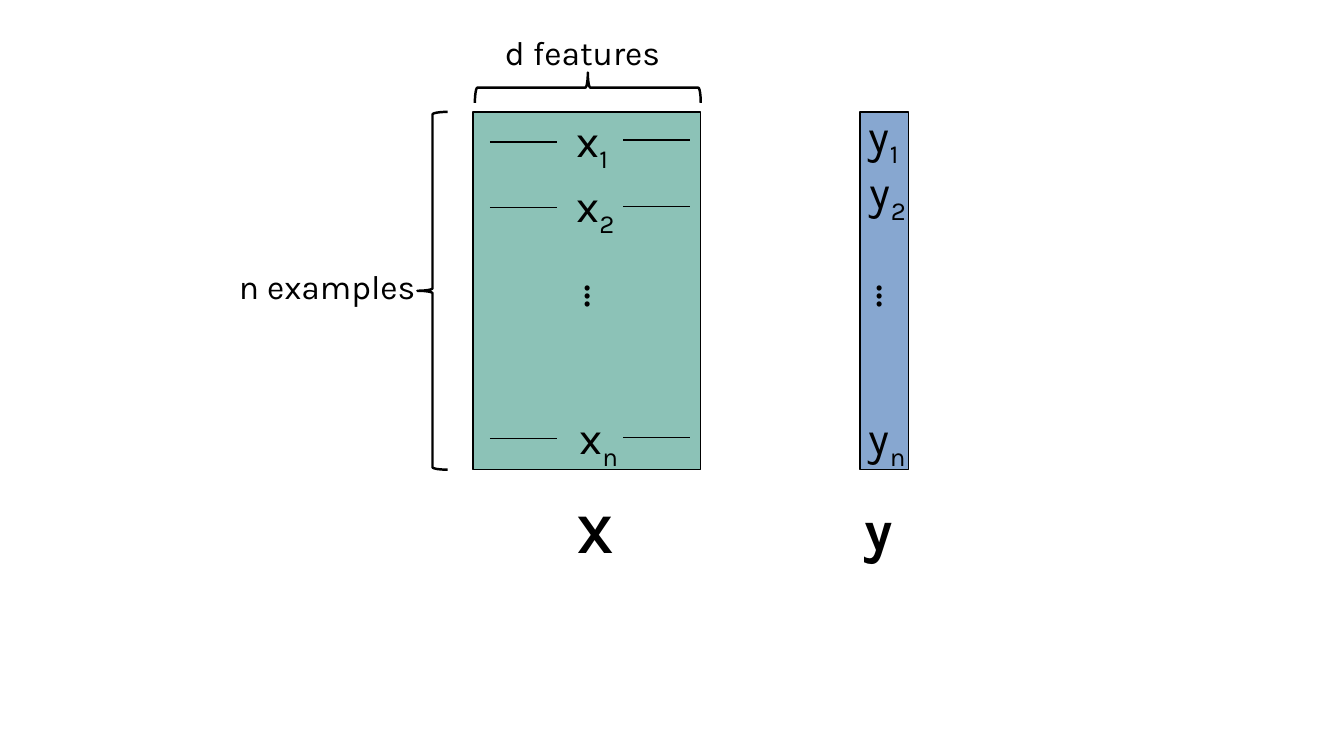
from pptx import Presentation
from pptx.dml.color import RGBColor
from pptx.enum.shapes import MSO_CONNECTOR as LINK, MSO_SHAPE as SHAPE
from pptx.enum.text import MSO_AUTO_SIZE as FIT
from pptx.oxml.ns import qn
from pptx.util import Emu, Pt
from lxml.etree import SubElement

SCALE = 9144  # 100 px to the inch
COLORS = {"ink": "000000", "features": "8CC2B7", "targets": "87A7D0"}
SYMBOL = {"size": Pt(32)}
LABEL = {"size": Pt(24)}
CAPTION = {"size": Pt(40), "bold": True}


def px(*lengths):
    return [Emu(length * SCALE) for length in lengths]


def color(name):
    return RGBColor.from_string(COLORS[name])


def set_line(part, width):
    part.line.color.rgb = color("ink")
    part.line.width = Pt(width)


def add_text(page, box, text, style, subscript=None, turn=0):
    frame_box = page.shapes.add_textbox(*px(*box))
    frame_box.rotation = turn
    frame = frame_box.text_frame
    frame.word_wrap = True
    frame.auto_size = FIT.SHAPE_TO_FIT_TEXT
    para = frame.paragraphs[0]
    for part in filter(None, (text, subscript)):
        span = para.add_run()
        span.text = part
        for name, value in {"name": "Karla", **style}.items():
            setattr(span.font, name, value)
        span.font.color.rgb = color("ink")
        if part is subscript:
            span._r.get_or_add_rPr().set("baseline", "-25000")


def add_outline(page, kind, box, width, fill=None, turn=0):
    shape = page.shapes.add_shape(kind, *px(*box))
    shape.shadow.inherit = False
    shape.rotation = turn
    if fill:
        shape.fill.solid()
        shape.fill.fore_color.rgb = color(fill)
    else:
        shape.fill.background()
    set_line(shape, width)


def add_rule(page, left, top, length):
    rule = page.shapes.add_connector(LINK.STRAIGHT, *px(left, top, left + length, top))
    set_line(rule, 1)
    SubElement(rule._element.spPr, qn("a:effectLst"))


def draw_block(page, box, fill, letter, entries, dots, caption):
    """Filled block with subscripted entries, a vertical ellipsis and a caption."""
    left, top, _, _ = box
    add_outline(page, SHAPE.RECTANGLE, box, 1, fill)
    for subscript, x, y, width in entries:
        add_text(page, (left + x, top + y, width, 64), letter, SYMBOL, subscript)
    add_text(page, (left + dots, top + 163, 67, 64), "...", SYMBOL, turn=90)
    name, x, y = caption
    add_text(page, (left + x, top + y, 67, 77), name, CAPTION)


def draw_row_rules(page, box):
    """Rules on both sides of each example."""
    left, top, _, _ = box
    for right_y, left_y in ((28, 30), (94, 95), (323, 324)):
        add_rule(page, left + 149, top + right_y, 66)
        add_rule(page, left + 17, top + left_y, 66)


def draw_dimensions(page, box):
    """Braces with the number of rows and columns."""
    left, top, _, height = box
    add_outline(page, SHAPE.LEFT_BRACE, (left - 55, top, 30, height), 1.75)
    add_text(page, (left - 242, top + 148, 282, 50), "n examples", LABEL)
    add_outline(page, SHAPE.LEFT_BRACE, (left + 99, top - 136, 30, 224), 1.75, turn=90)
    add_text(page, (left + 22, top - 84, 204, 50), "d features", LABEL)


def build_data_slide(deck):
    page = deck.slides.add_slide(deck.slide_layouts[6])
    matrix, vector = (469, 111, 226, 355), (853, 111, 48, 355)

    # Feature matrix: subscript, x, y and width of each entry
    draw_block(page, matrix, "features", "x",
               (("1", 93, -4, 56), ("2", 93, 60, 67), ("n", 96, 291, 67)),
               96, ("X", 93, 378))
    draw_row_rules(page, matrix)
    draw_dimensions(page, matrix)

    # Target vector
    draw_block(page, vector, "targets", "y",
               (("1", -1, -9, 56), ("2", 0, 47, 56), ("n", -1, 291, 67)),
               1, ("y", -5, 375))


def main():
    deck = Presentation()
    deck.slide_width, deck.slide_height = px(1333, 750)
    build_data_slide(deck)
    deck.save("out.pptx")


if __name__ == "__main__":
    main()
